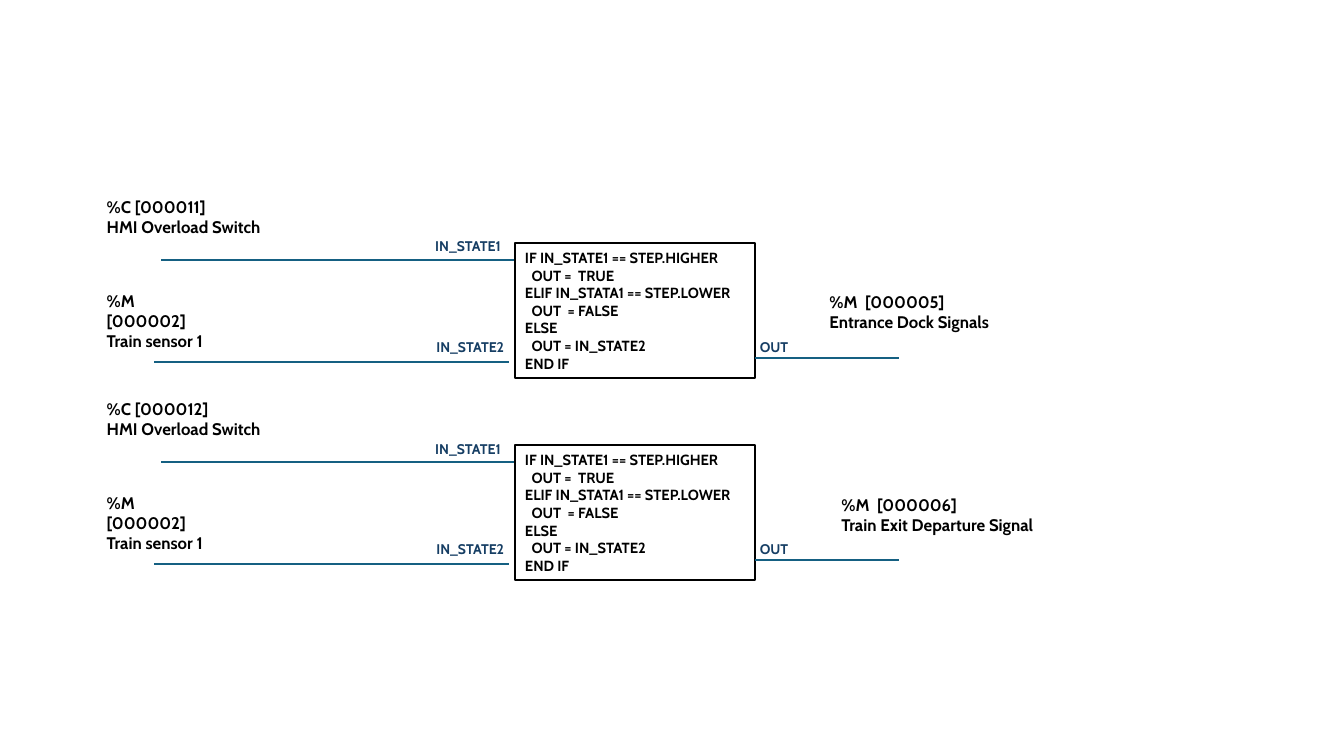
from dataclasses import dataclass

from lxml.etree import SubElement
from pptx import Presentation
from pptx.dml.color import RGBColor
from pptx.enum.shapes import MSO_CONNECTOR, MSO_SHAPE
from pptx.enum.text import MSO_ANCHOR, MSO_AUTO_SIZE, PP_ALIGN
from pptx.oxml.ns import qn
from pptx.util import Pt


@dataclass(frozen=True)
class Theme:
    font: str = "Cabin"
    ink: str = "000000"
    paper: str = "FFFFFF"
    wire: str = "156082"
    pin: str = "163E64"
    tag_size: float = 12
    code_size: float = 10.5
    pin_size: float = 10
    line_width: float = 1.5


THEME = Theme()
BLOCK_STEP = 144.5  # distance between the two logic blocks

LOGIC = [
    "IF IN_STATE1 == STEP.HIGHER",
    "  OUT =  TRUE",
    "ELIF IN_STATA1 == STEP.LOWER",
    "  OUT  = FALSE",
    "ELSE",
    "  OUT = IN_STATE2",
    "END IF",
]

# Overload address, output tag, left and width of the output tag
BLOCKS = [
    ("%C [000011]", ["%M  [000005]", "Entrance Dock Signals"], 585.4, 145.4),
    ("%C [000012]", ["%M  [000006]", "Train Exit Departure Signal"], 594, 161.3),
]


def write(tf, lines, size=THEME.tag_size, color=THEME.ink):
    """Fill a text frame with one paragraph per line."""
    tf.word_wrap = True
    for i, line in enumerate(lines):
        p = tf.paragraphs[0] if i == 0 else tf.add_paragraph()
        p.alignment = PP_ALIGN.LEFT
        r = p.add_run()
        r.text = line
        r.font.name = THEME.font
        r.font.size = Pt(size)
        r.font.bold = True
        r.font.color.rgb = RGBColor.from_string(color)


def add_label(s, x, y, w, h, lines, **fmt):
    sp = s.shapes.add_textbox(Pt(x), Pt(y), Pt(w), Pt(h))
    write(sp.text_frame, lines, **fmt)
    sp.text_frame.auto_size = MSO_AUTO_SIZE.SHAPE_TO_FIT_TEXT


def add_pin(s, x, y, w, name):
    add_label(s, x, y, w, 19.4, [name], size=THEME.pin_size, color=THEME.pin)


def add_wire(s, x1, x2, y):
    sp = s.shapes.add_connector(MSO_CONNECTOR.STRAIGHT, Pt(x1), Pt(y), Pt(x2), Pt(y))
    sp.line.color.rgb = RGBColor.from_string(THEME.wire)
    sp.line.width = Pt(THEME.line_width)
    SubElement(sp.element.spPr, qn("a:effectLst"))


def add_code_box(s, x, y, w, h, lines):
    sp = s.shapes.add_shape(MSO_SHAPE.RECTANGLE, Pt(x), Pt(y), Pt(w), Pt(h))
    sp.shadow.inherit = False
    sp.fill.solid()
    sp.fill.fore_color.rgb = RGBColor.from_string(THEME.paper)
    sp.line.color.rgb = RGBColor.from_string(THEME.ink)
    sp.line.width = Pt(THEME.line_width)
    sp.text_frame.vertical_anchor = MSO_ANCHOR.MIDDLE
    write(sp.text_frame, lines, size=THEME.code_size)


def add_logic_block(s, dy, overload, output, out_x, out_w):
    # Inputs
    add_wire(s, 110.2, 363.6, 258.5 + dy)
    add_label(s, 69.1, 203.8 + dy, 91.4, 51.1, ["%M [000002]", "Train sensor 1"])
    add_label(s, 69.1, 136.8 + dy, 128.9, 36, [overload, "HMI Overload Switch"])
    add_wire(s, 115.2, 367.9, 185.8 + dy)
    # Block and its pins
    add_code_box(s, 367.9, 173.5 + dy, 171.4, 96.5, LOGIC)
    add_pin(s, 303.8, 166.3 + dy, 64.1, "IN_STATE1")
    add_pin(s, 304.6, 238.3 + dy, 64.1, "IN_STATE2")
    # Output
    add_wire(s, 539.3, 642.2, 255.6 + dy)
    add_pin(s, 535.7, 238.3 + dy, 36.7, "OUT")
    add_label(s, out_x, 205 + dy, out_w, 36, output)


def main():
    prs = Presentation()
    prs.slide_width, prs.slide_height = Pt(960), Pt(540)
    s = prs.slides.add_slide(prs.slide_layouts[6])
    for i, block in enumerate(BLOCKS):
        add_logic_block(s, i * BLOCK_STEP, *block)
    prs.save("out.pptx")


if __name__ == "__main__":
    main()
